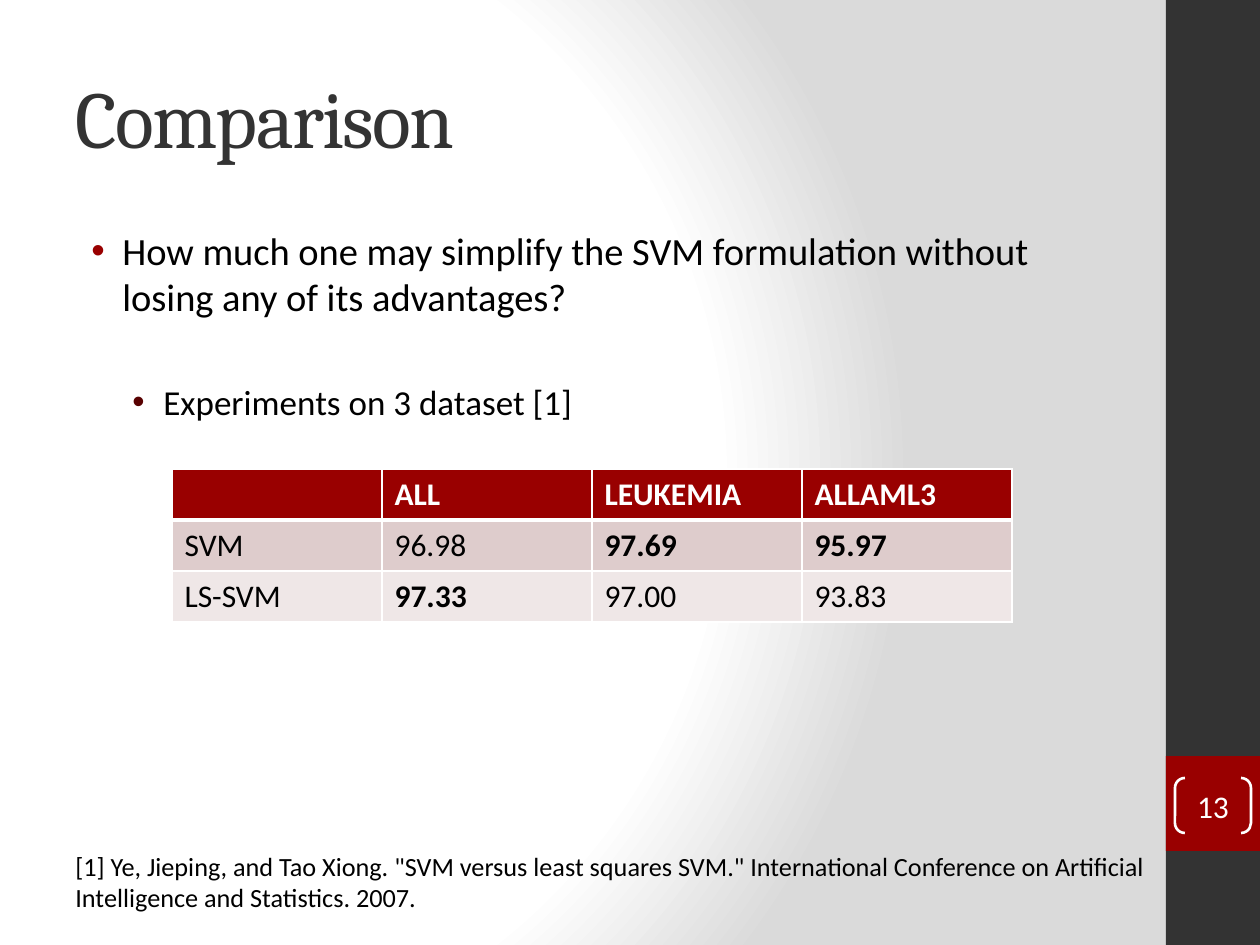
from dataclasses import dataclass

from lxml import etree
from pptx import Presentation
from pptx.dml.color import RGBColor
from pptx.enum.shapes import MSO_SHAPE
from pptx.enum.text import MSO_ANCHOR, MSO_AUTO_SIZE, PP_ALIGN
from pptx.oxml import parse_xml
from pptx.oxml.ns import nsdecls, qn
from pptx.slide import Slide
from pptx.text.text import TextFrame
from pptx.util import Emu, Pt

RECTANGLE = MSO_SHAPE.RECTANGLE
BRACKET_PAIR = MSO_SHAPE.DOUBLE_BRACKET
MIDDLE = MSO_ANCHOR.MIDDLE
TOP = MSO_ANCHOR.TOP
CENTER = PP_ALIGN.CENTER
GROW = MSO_AUTO_SIZE.SHAPE_TO_FIT_TEXT

CHARCOAL = RGBColor(0x33, 0x33, 0x33)
RED = RGBColor(0x99, 0x00, 0x00)
DARK_RED = RGBColor(0x58, 0x01, 0x01)
BLACK = RGBColor(0, 0, 0)
WHITE = RGBColor(0xFF, 0xFF, 0xFF)
GREY = RGBColor(0xDA, 0xDA, 0xDA)
ROW_PINK = RGBColor(0xDE, 0xCC, 0xCC)
ROW_PALE = RGBColor(0xEF, 0xE7, 0xE7)

HEADING_FONT = "Cambria"
BODY_FONT = "Calibri"
EMU_PER_PX = 914400 / 126


@dataclass(frozen=True)
class Box:
    left: int
    top: int
    width: int
    height: int

    def emu(self) -> tuple[Emu, ...]:
        return tuple(map(px, (self.left, self.top, self.width, self.height)))


@dataclass(frozen=True)
class TextStyle:
    size: int
    color: RGBColor = BLACK
    font: str = BODY_FONT
    bold: bool = False


@dataclass(frozen=True)
class Bullet:
    text: str
    size: int
    color: RGBColor
    margin: int
    level: int
    space_before: int


@dataclass(frozen=True)
class Row:
    texts: tuple[str, ...]
    bold_columns: tuple[int, ...]
    fill: RGBColor
    color: RGBColor
    top_line: int
    bottom_line: int


BULLETS = (
    Bullet("How much one may simplify the SVM formulation without losing any of its advantages?",
           22, RED, 47, 0, 0),
    Bullet("Experiments on 3 dataset [1]", 20, DARK_RED, 88, 1, 35),
)
ROWS = (
    Row(("", "ALL", "LEUKEMIA", "ALLAML3"), (1, 2, 3), RED, WHITE, 1, 3),
    Row(("SVM", "96.98", "97.69", "95.97"), (2, 3), ROW_PINK, BLACK, 3, 1),
    Row(("LS-SVM", "97.33", "97.00", "93.83"), (1,), ROW_PALE, BLACK, 1, 1),
)
CITATION = (
    '[1] Ye, Jieping, and Tao Xiong. "SVM versus least squares SVM." '
    "International Conference on Artificial Intelligence and Statistics. 2007."
)


def px(length: int) -> Emu:
    return Emu(round(length * EMU_PER_PX))


def add_run(paragraph, text: str, style: TextStyle):
    run = paragraph.add_run()
    run.text = text
    run.font.size = Pt(style.size)
    run.font.name = style.font
    run.font.bold = style.bold
    run.font.color.rgb = style.color
    return run


def paint_background(slide: Slide) -> None:
    slide.background.fill.solid()
    properties = slide.element.find(".//" + qn("p:bgPr"))
    stops = "".join(
        f'<a:gs pos="{position}"><a:srgbClr val="{color}"/></a:gs>'
        for position, color in ((0, WHITE), (75000, WHITE), (100000, GREY))
    )
    gradient = parse_xml(
        f'<a:gradFill {nsdecls("a")} rotWithShape="1"><a:gsLst>{stops}</a:gsLst>'
        '<a:path path="circle"><a:fillToRect l="20000" t="50000" r="100000" b="50000"/>'
        "</a:path></a:gradFill>"
    )
    properties.replace(properties.find(qn("a:solidFill")), gradient)


def add_block(slide: Slide, box: Box, color: RGBColor) -> None:
    block = slide.shapes.add_shape(RECTANGLE, *box.emu())
    block.shadow.inherit = False
    block.fill.solid()
    block.fill.fore_color.rgb = color
    block.line.fill.background()


def add_text_box(slide: Slide, box: Box, anchor: MSO_ANCHOR = TOP) -> TextFrame:
    frame = slide.shapes.add_textbox(*box.emu()).text_frame
    frame.word_wrap = True
    frame.vertical_anchor = anchor
    return frame


def add_bullets(frame: TextFrame, bullets: tuple[Bullet, ...]) -> None:
    for index, bullet in enumerate(bullets):
        paragraph = frame.add_paragraph() if index else frame.paragraphs[0]
        paragraph.level = bullet.level
        paragraph.space_before = Pt(bullet.space_before)
        properties = paragraph._p.get_or_add_pPr()
        properties.set("marL", str(px(bullet.margin)))
        properties.set("indent", str(px(-31)))
        color = etree.SubElement(properties, qn("a:buClr"))
        etree.SubElement(color, qn("a:srgbClr"), val=str(bullet.color))
        etree.SubElement(properties, qn("a:buFont"), typeface="Arial")
        etree.SubElement(properties, qn("a:buChar"), char="•")
        add_run(paragraph, bullet.text, TextStyle(bullet.size))


def add_borders(cell, top: int, bottom: int) -> None:
    properties = cell._tc.get_or_add_tcPr()
    widths = {"lnL": 1, "lnR": 1, "lnT": top, "lnB": bottom}
    for index, (side, width) in enumerate(widths.items()):
        line = parse_xml(
            f'<a:{side} {nsdecls("a")} w="{Pt(width)}"><a:solidFill>'
            f'<a:srgbClr val="{WHITE}"/></a:solidFill></a:{side}>'
        )
        properties.insert(index, line)


def add_results_table(slide: Slide, box: Box, rows: tuple[Row, ...]) -> None:
    table = slide.shapes.add_table(len(rows), len(rows[0].texts), *box.emu()).table
    table.first_row = False
    table.horz_banding = False
    for row_index, row in enumerate(rows):
        for column_index, text in enumerate(row.texts):
            cell = table.cell(row_index, column_index)
            cell.fill.solid()
            cell.fill.fore_color.rgb = row.fill
            add_borders(cell, row.top_line, row.bottom_line)
            if text:
                style = TextStyle(18, row.color, bold=column_index in row.bold_columns)
                add_run(cell.text_frame.paragraphs[0], text, style)


def add_page_number(slide: Slide, box: Box, number: str) -> None:
    bracket = slide.shapes.add_shape(BRACKET_PAIR, *box.emu())
    bracket.shadow.inherit = False
    bracket.adjustments[0] = 0.18
    bracket.fill.background()
    bracket.line.color.rgb = WHITE
    bracket.line.width = Pt(1.5)
    frame = bracket.text_frame
    frame.margin_left = frame.margin_right = frame.margin_top = frame.margin_bottom = 0
    frame.vertical_anchor = MIDDLE
    frame.paragraphs[0].alignment = CENTER
    add_run(frame.paragraphs[0], number, TextStyle(18, WHITE))


def main() -> None:
    presentation = Presentation()
    presentation.slide_width, presentation.slide_height = px(1260), px(945)
    slide = presentation.slides.add_slide(presentation.slide_layouts[6])
    paint_background(slide)
    add_block(slide, Box(1166, 0, 94, 945), CHARCOAL)
    add_block(slide, Box(1166, 756, 94, 95), RED)

    title = add_text_box(slide, Box(63, 38, 1050, 157), MIDDLE)
    title_run = add_run(title.paragraphs[0], "Comparison", TextStyle(46, CHARCOAL, HEADING_FONT))
    title_run.font._element.set("spc", "-100")

    add_bullets(add_text_box(slide, Box(63, 221, 1050, 661)), BULLETS)
    add_results_table(slide, Box(172, 469, 840, 153), ROWS)

    citation = add_text_box(slide, Box(63, 844, 1095, 77))
    citation.auto_size = GROW
    add_run(citation.paragraphs[0], CITATION, TextStyle(15))
    add_page_number(slide, Box(1175, 778, 76, 55), "13")
    presentation.save("out.pptx")


if __name__ == "__main__":
    main()
